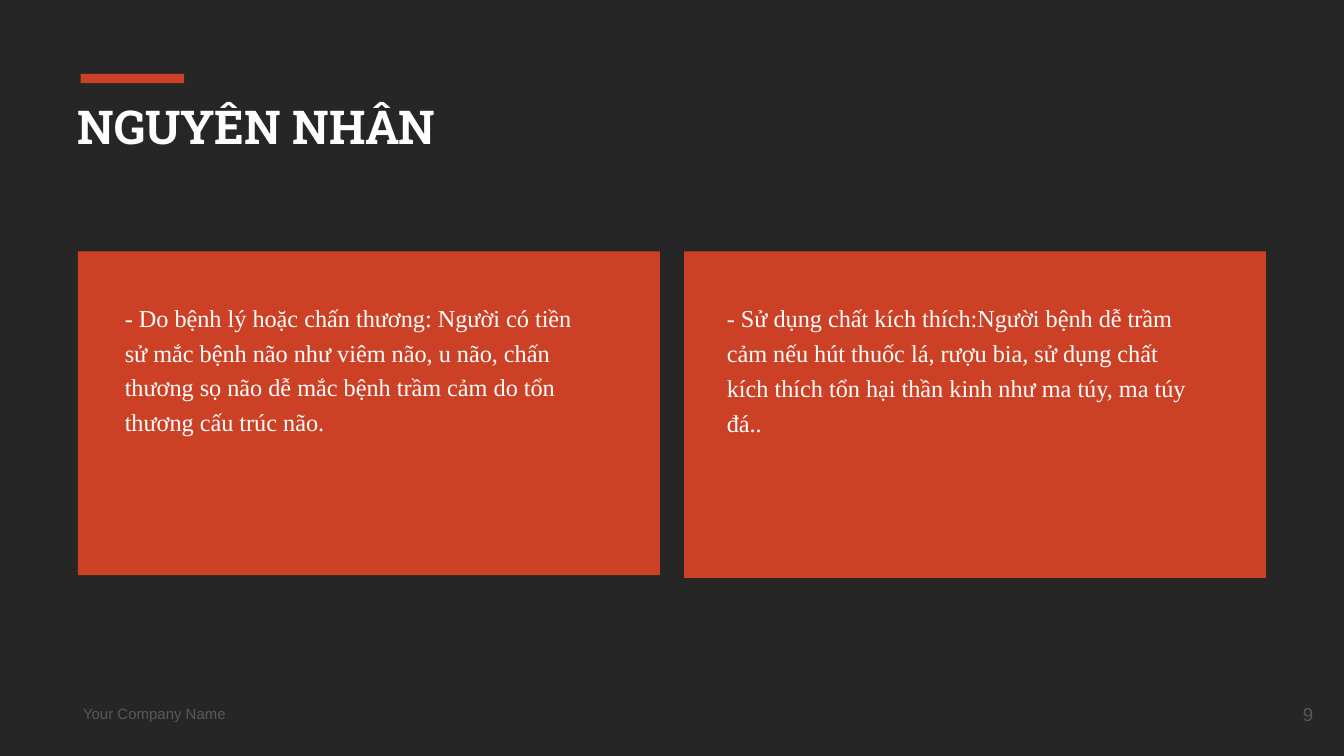
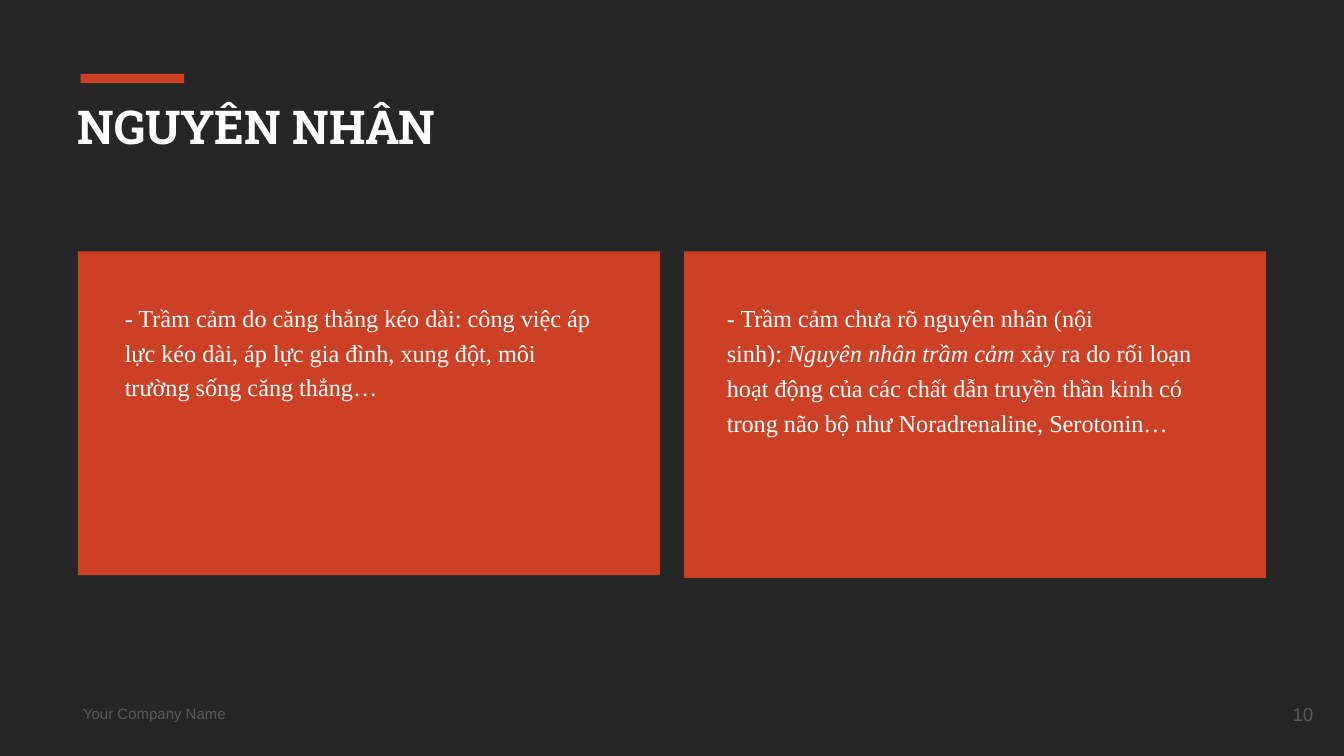
from pptx import Presentation
from pptx.dml.color import RGBColor
from pptx.enum import shapes, text
from pptx.util import Inches, Pt

SLIDE_WIDTH = 10
SLIDE_HEIGHT = SLIDE_WIDTH * 9 / 16
BACKGROUND, ACCENT, WHITE, GRAY = "262626", "CC4125", "FFFFFF", "595959"
TITLE_FONT, BODY_FONT, FOOTER_FONT = "Roboto Slab", "Times New Roman", "Arial"
NO_BREAK_SPACE = chr(160)

ACCENT_BAR = (0.6, 0.55, 0.77, 0.07)
TITLE_BOX = (0.48, 0.63, 4.51, 1.16)
COMPANY_BOX = (0.52, 5.18, 1.67, 0.26)
NUMBER_BOX = (9.27, 5.1, 0.6, 0.43)
# Each card: its box, then the left inset and height of its text
CARDS = [
    ((0.58, 1.87, 4.33, 2.41), 0.25, 1.87),
    ((5.09, 1.87, 4.33, 2.43), 0.22, 1.91),
]
CARD_TEXT_TOP, CARD_TEXT_WIDTH = 0.24, 3.72

# Each card text is a list of (wording, italic) runs
SLIDES = [
    (9, "NGUYÊN NHÂN", [
        [("- Do bệnh lý hoặc chấn thương: Người có tiền sử mắc bệnh não như "
          "viêm não, u não, chấn thương sọ não dễ mắc bệnh trầm cảm do tổn "
          "thương cấu trúc não.", False)],
        [("- Sử dụng chất kích thích:Người bệnh dễ trầm cảm nếu hút thuốc lá, "
          "rượu bia, sử dụng chất kích thích tổn hại thần kinh như ma túy, "
          "ma túy đá..", False)],
    ]),
    (10, "NGUYÊN NHÂN", [
        [("- Trầm cảm do căng thẳng kéo dài: công việc áp lực kéo dài, áp lực "
          "gia đình, xung đột, môi trường sống căng thẳng…", False)],
        [("- Trầm cảm chưa rõ nguyên nhân (nội sinh):" + NO_BREAK_SPACE, False),
         ("Nguyên nhân trầm cảm", True),
         (NO_BREAK_SPACE + "xảy ra do rối loạn hoạt động của các chất dẫn "
          "truyền thần kinh có trong não bộ như Noradrenaline, Serotonin…",
          False)],
    ]),
]


def color(value):
    return RGBColor.from_string(value)


def add_rectangle(slide, box):
    shape = slide.shapes.add_shape(
        shapes.MSO_SHAPE.RECTANGLE, *map(Inches, box))
    shape.shadow.inherit = False
    shape.fill.solid()
    shape.fill.fore_color.rgb = color(ACCENT)
    shape.line.fill.background()


def add_text(slide, box, runs, font, size, fill, bold=False,
             anchor=text.MSO_ANCHOR.TOP, align=text.PP_ALIGN.LEFT, spacing=1.0):
    """Add a one-paragraph text box made of (wording, italic) runs."""
    frame = slide.shapes.add_textbox(*map(Inches, box)).text_frame
    frame.word_wrap = True
    frame.vertical_anchor = anchor
    frame.margin_left = frame.margin_right = Inches(0.1)
    frame.margin_top = frame.margin_bottom = Inches(0.1)
    paragraph = frame.paragraphs[0]
    paragraph.alignment = align
    paragraph.line_spacing = spacing
    for wording, italic in runs:
        run = paragraph.add_run()
        run.text = wording
        run.font.name = font
        run.font.size = Pt(size)
        run.font.bold = bold
        run.font.italic = italic
        run.font.color.rgb = color(fill)


def add_header(slide, title):
    add_rectangle(slide, ACCENT_BAR)
    add_text(slide, TITLE_BOX, [(title, False)], TITLE_FONT, 25, WHITE, bold=True)


def add_footer(slide, number):
    middle = text.MSO_ANCHOR.MIDDLE
    add_text(slide, COMPANY_BOX, [("Your Company Name", False)],
             FOOTER_FONT, 8, GRAY, anchor=middle)
    add_text(slide, NUMBER_BOX, [(str(number), False)],
             FOOTER_FONT, 10, GRAY, anchor=middle, align=text.PP_ALIGN.RIGHT)


def add_card(slide, box, text_inset, text_height, runs):
    left, top, _, _ = box
    add_rectangle(slide, box)
    text_box = (left + text_inset, top + CARD_TEXT_TOP,
                CARD_TEXT_WIDTH, text_height)
    add_text(slide, text_box, runs, BODY_FONT, 13, WHITE, spacing=1.2)


def add_cause_slide(presentation, number, title, card_texts):
    slide = presentation.slides.add_slide(presentation.slide_layouts[6])
    slide.background.fill.solid()
    slide.background.fill.fore_color.rgb = color(BACKGROUND)
    add_header(slide, title)
    for card, runs in zip(CARDS, card_texts):
        add_card(slide, *card, runs)
    add_footer(slide, number)


def main():
    presentation = Presentation()
    presentation.slide_width = Inches(SLIDE_WIDTH)
    presentation.slide_height = Inches(SLIDE_HEIGHT)
    for content in SLIDES:
        add_cause_slide(presentation, *content)
    presentation.save("out.pptx")


if __name__ == "__main__":
    main()
